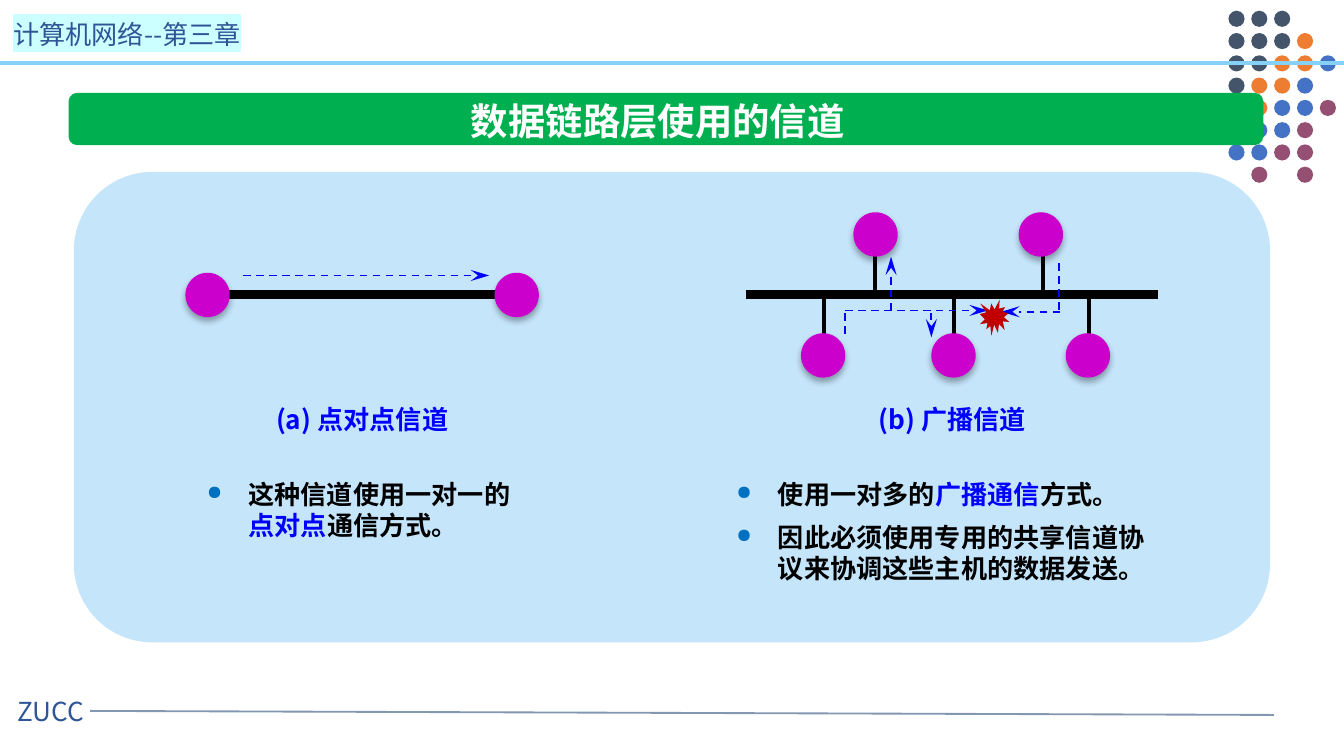
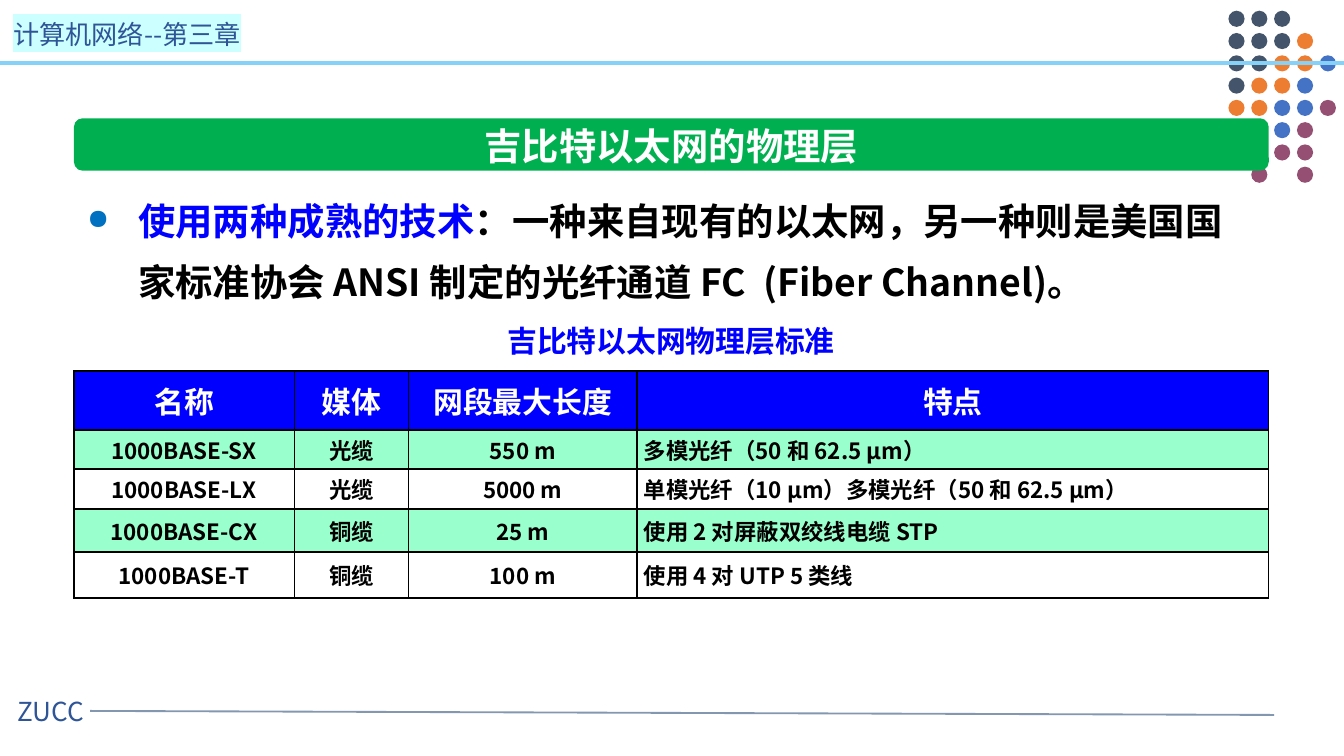
import dataclasses

import lxml.etree
import pptx
import pptx.dml.color
import pptx.enum.dml
import pptx.enum.shapes
import pptx.enum.text
import pptx.oxml.ns
import pptx.util

Inches = pptx.util.Inches
Pt = pptx.util.Pt
qn = pptx.oxml.ns.qn
SHAPES = pptx.enum.shapes.MSO_SHAPE
ALIGN = pptx.enum.text.PP_ALIGN
ANCHOR = pptx.enum.text.MSO_ANCHOR


@dataclasses.dataclass(frozen=True)
class Theme:
    font: str = "Noto Sans CJK SC"
    latin_title_font: str = "Calibri"
    title_size: int = 20
    caption_size: int = 16
    body_size: int = 14
    cell_size: int = 12
    body_line: int = 17
    black: str = "000000"
    white: str = "FFFFFF"
    blue: str = "0000FF"
    brand: str = "2F5597"
    highlight: str = "CCFFFF"
    rule: str = "8497B0"
    header_rule: str = "85D1F7"
    title_bar: str = "00B050"
    panel: str = "C5E5FB"
    bullet: str = "0070C0"
    host: str = "CC00CC"
    collision: str = "C00000"
    row_tint: str = "99FFCC"


THEME = Theme()
DOT_COLORS = {"N": "44546A", "O": "ED7D31", "B": "4472C4", "P": "954F72"}
DOT_ROWS = ["NNN", "NNNO", "NNOOB", "NOOB", "OOBBP", " BBP", "BBPP", " P P"]


def rgb(color):
    return pptx.dml.color.RGBColor.from_string(color)


def add_xml(parent, tag, **attributes):
    return lxml.etree.SubElement(parent, qn(tag), attributes)


def write(paragraph, text, color=THEME.black, size=THEME.body_size, bold=True,
          font=THEME.font, highlight=None, align=ALIGN.LEFT, bullet_indent=None,
          line=None, before=None):
    paragraph.alignment = align
    if bullet_indent:
        properties = paragraph._p.get_or_add_pPr()
        properties.set("marL", str(Inches(bullet_indent)))
        properties.set("indent", str(-Inches(bullet_indent)))
        add_xml(add_xml(properties, "a:buClr"), "a:srgbClr", val=THEME.bullet)
        add_xml(properties, "a:buSzPct", val="75000")
        add_xml(properties, "a:buChar", char="●")
    if line:
        paragraph.line_spacing = Pt(line)
    if before:
        paragraph.space_before = Pt(before)
    pieces = [(text, color)] if isinstance(text, str) else text
    for words, tint in pieces:
        run = paragraph.add_run()
        run.text = words
        run.font.size = Pt(size)
        run.font.bold = bold
        run.font.color.rgb = rgb(tint)
        properties = run._r.get_or_add_rPr()
        if highlight:
            add_xml(add_xml(properties, "a:highlight"), "a:srgbClr", val=highlight)
        run.font.name = font
        add_xml(properties, "a:ea", typeface=THEME.font)


def add_text_frame(shapes, left, top, width, height, wrap=True, anchor=ANCHOR.TOP):
    frame = shapes.add_textbox(
        Inches(left), Inches(top), Inches(width), Inches(height)).text_frame
    frame.word_wrap = wrap
    frame.vertical_anchor = anchor
    return frame


def add_label(shapes, text, left, top, width, height, wrap=False, **style):
    frame = add_text_frame(shapes, left, top, width, height, wrap, ANCHOR.MIDDLE)
    write(frame.paragraphs[0], text, **style)


def add_filled(shapes, kind, left, top, width, height, color):
    shape = shapes.add_shape(
        kind, Inches(left), Inches(top), Inches(width), Inches(height))
    shape.shadow.inherit = False
    shape.fill.solid()
    shape.fill.fore_color.rgb = rgb(color)
    shape.line.fill.background()
    return shape


def add_line(shapes, x1, y1, x2, y2, color=THEME.black, width=1.0,
             dashed=False, arrow=False):
    connector = shapes.add_connector(
        pptx.enum.shapes.MSO_CONNECTOR.STRAIGHT,
        Inches(x1), Inches(y1), Inches(x2), Inches(y2))
    connector.line.color.rgb = rgb(color)
    connector.line.width = Pt(width)
    if dashed:
        connector.line.dash_style = pptx.enum.dml.MSO_LINE.DASH
    properties = connector._element.spPr
    if arrow:
        add_xml(properties.find(qn("a:ln")), "a:tailEnd", type="stealth", len="lg")
    add_xml(properties, "a:effectLst")


def add_signal(shapes, x1, y1, x2, y2, arrow=True):
    add_line(shapes, x1, y1, x2, y2, THEME.blue, dashed=True, arrow=arrow)


def add_host(shapes, left, top):
    host = add_filled(shapes, SHAPES.OVAL, left, top, 0.33, 0.33, THEME.host)
    effects = host._element.spPr.find(qn("a:effectLst"))
    shadow = add_xml(effects, "a:outerShdw", blurRad=str(Pt(3.5)),
                     dist=str(Pt(2.2)), dir="5400000", rotWithShape="0")
    black = add_xml(shadow, "a:srgbClr", val=THEME.black)
    add_xml(black, "a:alpha", val="32000")


def add_frame(shapes):
    add_line(shapes, 0.02, 0.47, 9.05, 0.47, THEME.rule)
    add_line(shapes, 0.67, 5.29, 9.48, 5.32, THEME.rule)
    add_label(shapes, "ZUCC", 0.03, 5.12, 0.89, 0.34, wrap=True,
              color=THEME.brand, bold=False)
    add_label(shapes, "计算机网络--第三章", 0, 0.08, 2.16, 0.34, wrap=True,
              color=THEME.brand, bold=False, highlight=THEME.highlight)
    dots = shapes.add_group_shape().shapes
    for row, codes in enumerate(DOT_ROWS):
        for column, code in enumerate(codes):
            if code != " ":
                add_filled(dots, SHAPES.OVAL, 9.14 + 0.17 * column,
                           0.08 + 1.16 / 7 * row, 0.12, 0.12, DOT_COLORS[code])
    add_line(shapes, 0, 0.47, 10, 0.47, THEME.header_rule, 2)


def add_title_bar(shapes, left, top):
    bar = add_filled(shapes, SHAPES.ROUNDED_RECTANGLE, left, top, 8.89, 0.39,
                     THEME.title_bar)
    bar.adjustments[0] = 0.167


def add_title(shapes, text, left, top, width, font=THEME.font):
    add_label(shapes, text, left, top, width, 0.44, color=THEME.white,
              size=THEME.title_size, font=font, align=ALIGN.CENTER)


def add_channel_notes(shapes, left, width, height, caption, points):
    frame = add_text_frame(shapes, left, 2.95, width, height)
    write(frame.paragraphs[0], caption, color=THEME.blue, align=ALIGN.CENTER,
          line=THEME.body_line)
    for index, point in enumerate(points):
        write(frame.add_paragraph(), point, bullet_indent=0.31,
              line=THEME.body_line, before=6 if index else 6 + THEME.body_line)


def add_point_to_point(shapes):
    link = shapes.add_group_shape().shapes
    add_line(link, 1.54, 2.19, 3.84, 2.19, width=4.5)
    for left in (1.38, 3.68):
        add_host(link, left, 2.03)


def add_bus(shapes):
    bus = shapes.add_group_shape().shapes
    add_line(bus, 5.55, 2.19, 8.62, 2.19, width=4.5)
    for x, top in ((6.51, 1.87), (7.76, 1.87), (7.1, 2.2), (8.1, 2.2), (6.13, 2.2)):
        add_line(bus, x, top, x, top + 0.33, width=2.25)
    for left, top in ((6.35, 1.58), (7.58, 1.58), (5.96, 2.48), (6.93, 2.48),
                      (7.93, 2.48)):
        add_host(bus, left, top)


def add_signals(shapes):
    right_sender = shapes.add_group_shape().shapes
    add_signal(right_sender, 7.89, 2.32, 7.45, 2.32)
    add_signal(right_sender, 7.88, 1.96, 7.88, 2.32, arrow=False)
    left_sender = shapes.add_group_shape().shapes
    add_signal(left_sender, 6.29, 2.31, 7.35, 2.31)
    add_signal(left_sender, 6.63, 2.31, 6.63, 1.91)
    add_signal(left_sender, 6.93, 2.33, 6.93, 2.51)
    add_signal(left_sender, 6.29, 2.33, 6.29, 2.51, arrow=False)
    add_signal(shapes, 1.81, 2.05, 3.64, 2.05)
    add_filled(shapes, SHAPES.EXPLOSION1, 7.29, 2.23, 0.22, 0.27, THEME.collision)


def format_cell(cell, text, fill, **style):
    cell.vertical_anchor = ANCHOR.MIDDLE
    cell.margin_left = cell.margin_right = Inches(0.05)
    cell.margin_top = cell.margin_bottom = 0
    properties = cell._tc.get_or_add_tcPr()
    for side in ("a:lnL", "a:lnR", "a:lnT", "a:lnB"):
        border = add_xml(properties, side, w=str(Pt(1)))
        add_xml(add_xml(border, "a:solidFill"), "a:srgbClr", val=THEME.black)
    cell.fill.solid()
    cell.fill.fore_color.rgb = rgb(fill)
    write(cell.text_frame.paragraphs[0], text, **style)


def add_standards_table(shapes, rows, widths, heights):
    table = shapes.add_table(len(rows), len(widths), Inches(0.55), Inches(2.76),
                             Inches(sum(widths)), Inches(sum(heights))).table
    table.first_row = table.horz_banding = False
    for column, width in zip(table.columns, widths):
        column.width = Inches(width)
    for row, height in zip(table.rows, heights):
        row.height = Inches(height)
    for r, row in enumerate(rows):
        for c, text in enumerate(row):
            if r == 0:
                format_cell(table.cell(r, c), text, THEME.blue, color=THEME.white,
                            size=THEME.caption_size, align=ALIGN.CENTER)
            else:
                is_feature = c == len(row) - 1
                format_cell(table.cell(r, c), text,
                            THEME.row_tint if r % 2 else THEME.white,
                            size=THEME.cell_size,
                            align=ALIGN.LEFT if is_feature else ALIGN.CENTER)


def build_channels(shapes):
    add_frame(shapes)
    add_title_bar(shapes, 0.51, 0.69)
    add_filled(shapes, SHAPES.ROUNDED_RECTANGLE, 0.55, 1.28, 8.9, 3.5, THEME.panel)
    add_point_to_point(shapes)
    add_bus(shapes)
    add_channel_notes(shapes, 1.44, 2.51, 1.13, "(a) 点对点信道", [
        [("这种信道使用一对一的", THEME.black), ("点对点", THEME.blue),
         ("通信方式。", THEME.black)]])
    add_channel_notes(shapes, 5.38, 3.41, 1.45, "(b) 广播信道", [
        [("使用一对多的", THEME.black), ("广播通信", THEME.blue),
         ("方式。", THEME.black)],
        "因此必须使用专用的共享信道协议来协调这些主机的数据发送。"])
    add_title(shapes, "数据链路层使用的信道", 3.39, 0.68, 3.01,
              font=THEME.latin_title_font)
    add_signals(shapes)


def build_gigabit(shapes):
    add_frame(shapes)
    frame = add_text_frame(shapes, 0.55, 1.3, 8.89, 1.03)
    write(frame.paragraphs[0], [
        ("使用两种成熟的技术", THEME.blue),
        ("：一种来自现有的以太网，另一种则是美国国家标准协会 ANSI 制定的光纤通道 "
         "FC  (Fiber Channel)。", THEME.black)],
        size=THEME.title_size, bullet_indent=0.38, line=33)
    add_title_bar(shapes, 0.55, 0.88)
    add_title(shapes, "吉比特以太网的物理层", 3.45, 0.86, 3.09)
    add_standards_table(shapes, [
        ("名称", "媒体", "网段最大长度", "特点"),
        ("1000BASE-SX", "光缆", "550 m", "多模光纤（50 和 62.5 μm）"),
        ("1000BASE-LX", "光缆", "5000 m", "单模光纤（10 μm）多模光纤（50 和 62.5 μm）"),
        ("1000BASE-CX", "铜缆", "25 m", "使用 2 对屏蔽双绞线电缆 STP"),
        ("1000BASE-T", "铜缆", "100 m", "使用 4 对 UTP 5 类线"),
    ], (1.64, 0.85, 1.7, 4.7), (0.44, 0.29, 0.3, 0.32, 0.34))
    add_label(shapes, "吉比特以太网物理层标准", 3.66, 2.35, 2.67, 0.37,
              color=THEME.blue, size=THEME.caption_size, align=ALIGN.CENTER)


def main():
    deck = pptx.Presentation()
    deck.slide_width = Inches(10)
    deck.slide_height = deck.slide_width * 9 // 16
    blank = deck.slide_layouts[6]
    for build in (build_channels, build_gigabit):
        build(deck.slides.add_slide(blank).shapes)
    deck.save("out.pptx")


if __name__ == "__main__":
    main()
